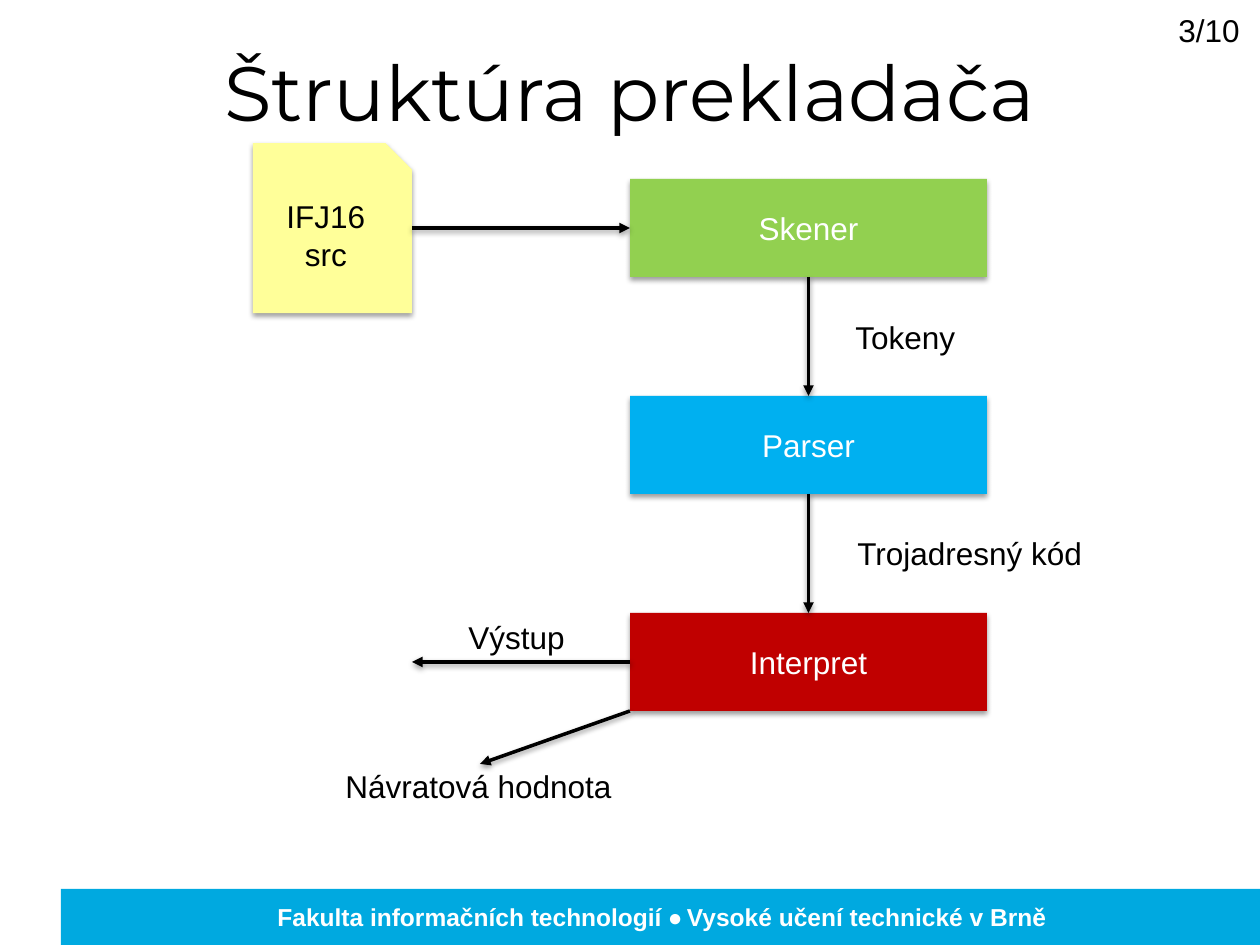
"""Build the slide showing the structure of a compiler as a flow diagram."""
from pptx import Presentation
from pptx.dml.color import RGBColor
from pptx.enum.shapes import MSO_CONNECTOR as LINE, MSO_SHAPE as SHAPE
from pptx.enum.text import MSO_ANCHOR as ANCHOR, PP_ALIGN as ALIGN
from pptx.oxml import parse_xml
from pptx.oxml.ns import nsdecls
from pptx.util import Pt

PX = 914400 // 126
COLORS = {
    "black": "000000", "white": "FFFFFF", "footer": "00A9E0", "scanner": "92D050",
    "parser": "00B0F0", "interpreter": "C00000", "note": "FFFF99",
}
SHADOW = (
    f'<a:effectLst {nsdecls("a")}><a:outerShdw blurRad="40000" dist="20000" dir="5400000" '
    'rotWithShape="0"><a:srgbClr val="000000"><a:alpha val="38000"/></a:srgbClr>'
    '</a:outerShdw></a:effectLst>'
)

prs = Presentation()
prs.slide_width, prs.slide_height = 1260 * PX, 945 * PX
slide = prs.slides.add_slide(prs.slide_layouts[6])
shapes = slide.shapes


def add_text(box, text, font="Arial", size=18, color="black", align=ALIGN.LEFT):
    box.text_frame.word_wrap = True
    line = box.text_frame.paragraphs[0]
    line.text = text
    line.alignment = align
    line.font.name = font
    line.font.size = Pt(size)
    line.font.color.rgb = RGBColor.from_string(COLORS[color])
    return line


def add_block(kind, left, top, width, height, fill):
    block = shapes.add_shape(kind, left * PX, top * PX, width * PX, height * PX)
    block.shadow.inherit = False
    block.fill.solid()
    block.fill.fore_color.rgb = RGBColor.from_string(COLORS[fill])
    block.line.fill.background()
    block.text_frame.vertical_anchor = ANCHOR.MIDDLE
    return block


add_block(SHAPE.RECTANGLE, 61, 889, 1199, 56, "footer")
footer = shapes.add_textbox(64 * PX, 896 * PX, 1196 * PX, 43 * PX)
institution = add_text(footer, "", size=14, color="white", align=ALIGN.CENTER)
institution.font.bold = True
for text, font in [
    ("Fakulta informačních technologií ", "Arial"),
    ("• ", "Calibri"),
    ("Vysoké učení technické v Brně", "Arial"),
]:
    part = institution.add_run()
    part.text = text
    part.font.name = font

title = shapes.add_textbox(63 * PX, 38 * PX, 1134 * PX, 158 * PX)
add_text(title, "Štruktúra prekladača", "Montserrat", 44, align=ALIGN.CENTER)

stages = []
for i, (label, fill) in enumerate(
    [("Skener", "scanner"), ("Parser", "parser"), ("Interpret", "interpreter")]
):
    stage = add_block(SHAPE.RECTANGLE, 630, 179 + 217 * i, 357, 98, fill)
    add_text(stage, label, color="white", align=ALIGN.CENTER)
    stages.append(stage)
scanner, parser, interpreter = stages

source = add_block(SHAPE.SNIP_1_RECTANGLE, 253, 143, 159, 170, "note")
add_text(source, "IFJ16 src", align=ALIGN.CENTER)

for block in [*stages, source]:
    spPr = block._element.spPr
    spPr.remove(spPr.find("{*}effectLst"))
    spPr.append(parse_xml(SHADOW))

for start, end, begin_at, end_at in [
    ((412, 228), (630, 228), (source, 3), (scanner, 1)),
    ((808, 277), (808, 396), (scanner, 2), (parser, 0)),
    ((808, 494), (808, 613), (parser, 2), (interpreter, 0)),
    ((630, 662), (412, 662), (interpreter, 1), None),
    ((630, 711), (480, 764), None, None),
]:
    arrow = shapes.add_connector(LINE.STRAIGHT, *(v * PX for v in start + end))
    if begin_at:
        arrow.begin_connect(*begin_at)
    if end_at:
        arrow.end_connect(*end_at)
    arrow.line.width = Pt(2)
    arrow.line.color.rgb = RGBColor.from_string(COLORS["black"])
    arrow.line._get_or_add_ln().append(
        parse_xml(f'<a:tailEnd {nsdecls("a")} type="triangle"/>')
    )
    arrow._element.spPr.append(parse_xml(SHADOW))

for label, left, top, width in [
    ("Trojadresný kód", 845, 528, 271),
    ("Tokeny", 843, 312, 174),
    ("Výstup", 456, 612, 149),
    ("Návratová hodnota", 333, 761, 320),
    ("3/10", 1166, 5, 154),
]:
    add_text(shapes.add_textbox(left * PX, top * PX, width * PX, 50 * PX), label)

prs.save("out.pptx")
